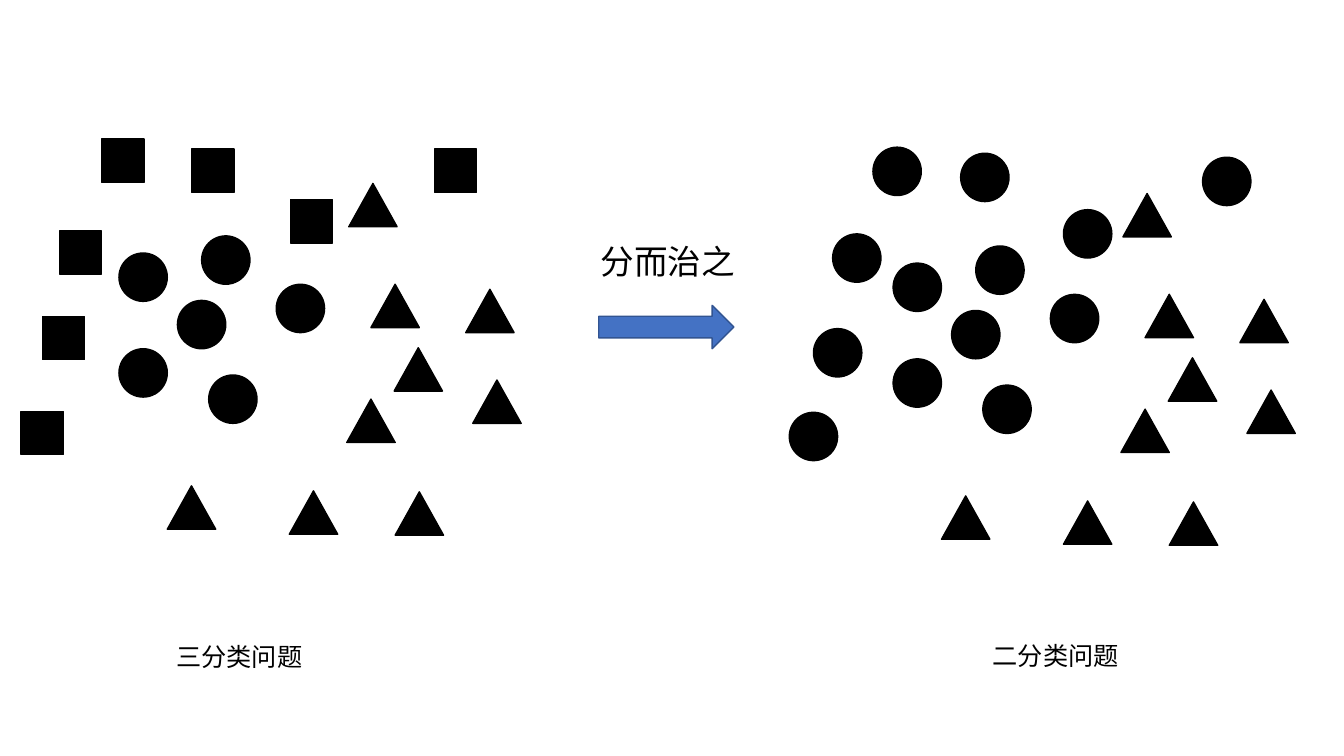
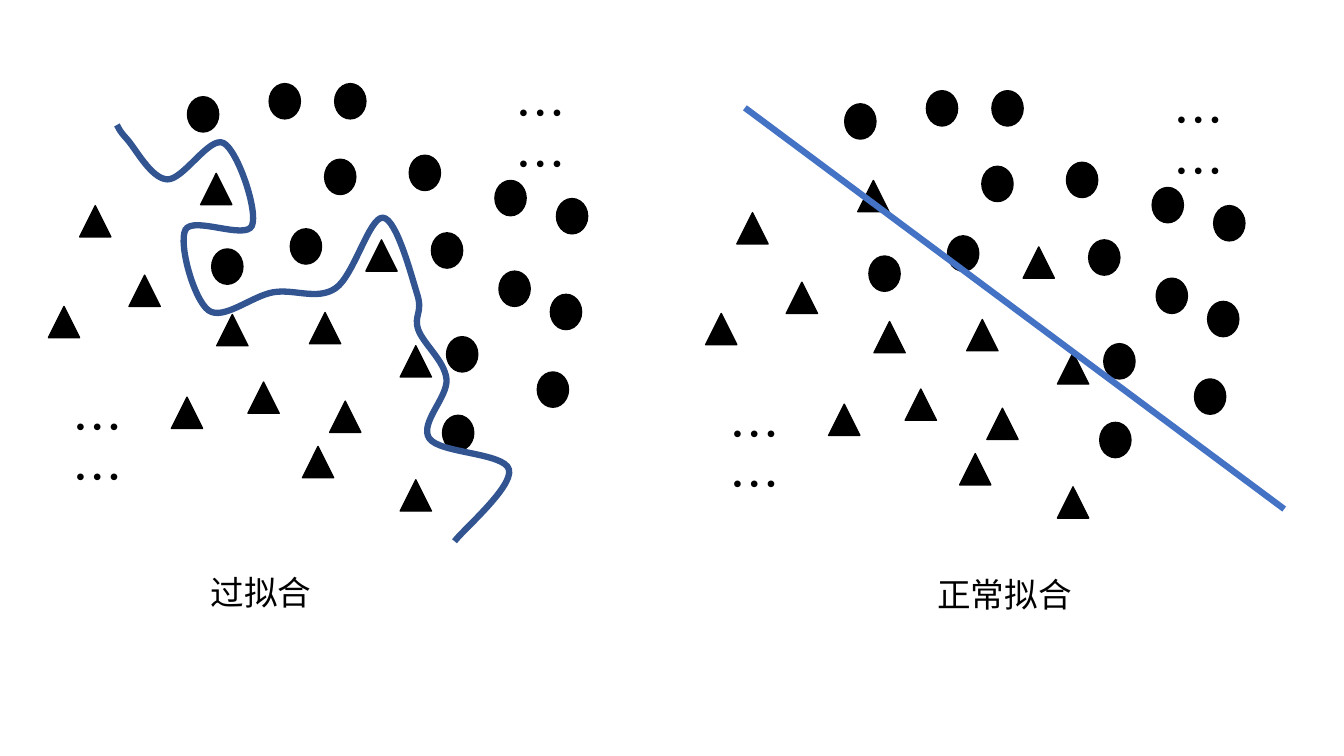
"""Two slides on classification: splitting a problem, and overfitting."""
from dataclasses import dataclass

from lxml import etree
from pptx import Presentation
from pptx.dml.color import RGBColor
from pptx.enum import shapes as kinds, text as texts
from pptx.oxml import ns
from pptx.util import Emu, Inches, Pt

WIDTH, HEIGHT = Inches(13.333), Inches(7.5)
ROWS = 75
CELL = HEIGHT / ROWS  # every position below counts square grid cells

INK, BLUE, NAVY = "000000", "4472C4", "325491"
FONT = "Noto Sans CJK SC"
CIRCLE = kinds.MSO_SHAPE.OVAL
TRIANGLE = kinds.MSO_SHAPE.ISOSCELES_TRIANGLE
SQUARE = kinds.MSO_SHAPE.RECTANGLE
ARROW = kinds.MSO_SHAPE.RIGHT_ARROW

Spot = tuple[float, float]


@dataclass(frozen=True)
class Marks:
    """Samples of one class: their outline, size and top left corners."""
    outline: int
    width: float
    height: float
    spots: tuple[Spot, ...]


@dataclass(frozen=True)
class Label:
    """A line of text in a box, with its size and line spacing."""
    words: str
    column: float
    row: float
    width: float
    height: float
    size: int
    spacing: float = 0.9


def cells(count: float) -> Emu:
    """Turn grid cells into a length."""
    return Emu(round(count * CELL))


def colour(code: str) -> RGBColor:
    """Turn a hex string into a colour."""
    return RGBColor.from_string(code)


def draw_outline(shape, code: str, points: float) -> None:
    """Give a shape or connector its line."""
    shape.line.color.rgb = colour(code)
    shape.line.width = Pt(points)


def draw_shape(canvas, outline: int, column: float, row: float, width: float,
               height: float, fill: str = INK, edge: str = INK) -> None:
    """Draw one filled preset shape."""
    shape = canvas.add_shape(outline, cells(column), cells(row),
                             cells(width), cells(height))
    shape.fill.solid()
    shape.fill.fore_color.rgb = colour(fill)
    draw_outline(shape, edge, 1)
    shape.shadow.inherit = False


def draw_samples(canvas, classes: tuple[Marks, ...], shift: Spot = (0, 0)) -> None:
    """Draw all samples of the given classes, moved by a shift."""
    for marks in classes:
        for column, row in marks.spots:
            draw_shape(canvas, marks.outline, column + shift[0], row + shift[1],
                       marks.width, marks.height)


def draw_label(canvas, label: Label, shift: Spot = (0, 0)) -> None:
    """Write a label, moved by a shift."""
    box = canvas.add_textbox(cells(label.column + shift[0]), cells(label.row + shift[1]),
                             cells(label.width), cells(label.height))
    frame = box.text_frame
    frame.word_wrap = True
    frame.auto_size = texts.MSO_AUTO_SIZE.SHAPE_TO_FIT_TEXT
    paragraph = frame.paragraphs[0]
    paragraph.line_spacing = label.spacing
    run = paragraph.add_run()
    run.text = label.words
    run.font.size = Pt(label.size)
    run.font.color.rgb = colour(INK)
    run.font.name = FONT
    east_asian = etree.SubElement(run.font._element, ns.qn("a:ea"))
    east_asian.set("typeface", FONT)


def smooth_points(anchors: tuple[Spot, ...]) -> list[Spot]:
    """List control points and ends of a smooth curve through the anchors."""
    padded = (anchors[0], *anchors, anchors[-1])
    points = []
    for before, start, end, after in zip(padded, padded[1:], padded[2:], padded[3:]):
        points.append(tuple(s + (e - b) / 6 for b, s, e in zip(before, start, end)))
        points.append(tuple(e - (a - s) / 6 for s, e, a in zip(start, end, after)))
        points.append(end)
    return points


def draw_curve(canvas, anchors: tuple[Spot, ...]) -> None:
    """Draw a smooth open curve through the anchors."""
    start = [cells(value) for value in anchors[0]]
    builder = canvas.build_freeform(*start)
    builder.add_line_segments(
        [(cells(x), cells(y)) for x, y in smooth_points(anchors)], close=False)
    curve = builder.convert_to_shape()
    curve.fill.background()
    draw_outline(curve, NAVY, 4.5)
    curve.shadow.inherit = False
    steps = list(curve._element.iter(ns.qn("a:lnTo")))
    for first in range(0, len(steps), 3):
        bezier = etree.SubElement(steps[first].getparent(), ns.qn("a:cubicBezTo"))
        for step in steps[first:first + 3]:
            bezier.append(step[0])
            step.getparent().remove(step)


def draw_line(canvas, start: Spot, end: Spot) -> None:
    """Draw a straight boundary."""
    line = canvas.add_connector(kinds.MSO_CONNECTOR.STRAIGHT,
                                *(cells(value) for value in (*start, *end)))
    draw_outline(line, BLUE, 4.5)
    etree.SubElement(line._element.spPr, ns.qn("a:effectLst"))


# Splitting a three-class problem
ROUND_CLASS = Marks(CIRCLE, 4.8, 4.8, (
    (11.8, 25.1), (20, 23.4), (17.6, 29.8), (11.8, 34.6), (20.7, 37.2), (27.4, 28.2)))
TRIANGLE_CLASS = Marks(TRIANGLE, 4.8, 4.3, (
    (36.8, 28.2), (46.2, 28.7), (34.4, 39.6), (46.9, 37.7), (39.1, 34.5),
    (39.2, 48.8), (28.7, 48.7), (16.6, 48.2), (34.6, 18.2)))
SQUARE_CLASS = Marks(SQUARE, 4.2, 4.3, (
    (43.1, 14.8), (10.1, 13.8), (19, 14.8), (28.8, 19.8), (5.9, 22.9),
    (4.2, 31.4), (2.1, 40.8)))
MERGED_CLASS = Marks(CIRCLE, 4.8, 4.8, (
    (80.7, 32.6), (78.3, 40.9), (82.6, 23.2), (86.6, 14.6), (95.3, 15.2),
    (105.5, 20.8), (119.3, 15.6)))
MERGED_SHIFT = (76.8, 1)
SPLIT_LABELS = (
    Label("分而治之", 58.6, 23.9, 18.2, 5, 24),
    Label("三分类问题", 16.5, 63.5, 26.7, 4, 18),
    Label("二分类问题", 97.5, 63.4, 26.7, 4, 18))

# Overfitting beside a normal fit
FIT_CLASSES = (
    Marks(CIRCLE, 3.1, 3.5, (
        (49.5, 26.9), (32.2, 15.8), (40.6, 15.4), (28.8, 22.7), (33.2, 8.3),
        (26.7, 8.3), (18.6, 9.6), (21, 24.7), (42.8, 23.1), (44.3, 33.4),
        (43.9, 41.2), (53.3, 36.9), (54.6, 29.2), (55.2, 19.7), (49.1, 17.9))),
    Marks(TRIANGLE, 3.1, 3.1, (
        (4.8, 30.4), (7.9, 20.4), (12.8, 27.3), (19.9, 17.2), (21.5, 31.2),
        (17, 39.4), (30.7, 31), (39.7, 34.3), (36.3, 23.8), (24.6, 37.9),
        (30, 44.3), (32.7, 39.8), (39.7, 47.6))))
FIT_SHIFTS = ((0, 0), (65.2, 0.7))
MORE_SAMPLES = tuple(Label("……", column, row, 11.8, 5.1, 36, 0.83)
                     for column, row in ((6.2, 39.8), (50.2, 8.7)))
OVERFIT_BOUNDARY = (
    (11.6, 12.4), (12.6, 13.8), (16.6, 17.8), (22.2, 14.2), (25, 22.4),
    (18.4, 22.8), (20.7, 30.8), (27.1, 29), (33.3, 28.6), (38, 21.6),
    (41.4, 29.2), (41.5, 32.7), (44.3, 37.6), (42.6, 43.5), (50.5, 46.6),
    (45.1, 53.7))
FIT_LABELS = (
    Label("过拟合", 19.9, 56.7, 26.9, 5, 24),
    Label("正常拟合", 92, 56.9, 26.9, 5, 24))


def build_split(slide) -> None:
    """Show three classes on the left, reduced to two on the right."""
    draw_samples(slide.shapes.add_group_shape().shapes,
                 (ROUND_CLASS, TRIANGLE_CLASS, SQUARE_CLASS))
    draw_samples(slide.shapes, (ROUND_CLASS, TRIANGLE_CLASS), MERGED_SHIFT)
    draw_samples(slide.shapes, (MERGED_CLASS,))
    draw_shape(slide.shapes, ARROW, 59.4, 30.3, 13.4, 4.3, BLUE, NAVY)
    for label in SPLIT_LABELS:
        draw_label(slide.shapes, label)


def build_fit(slide) -> None:
    """Show the same samples with a winding and a straight boundary."""
    for shift in FIT_SHIFTS:
        panel = slide.shapes.add_group_shape().shapes
        draw_samples(panel, FIT_CLASSES, shift)
        for label in MORE_SAMPLES:
            draw_label(panel, label, shift)
    draw_curve(slide.shapes, OVERFIT_BOUNDARY)
    draw_line(slide.shapes, (73.9, 10.7), (127.4, 50.5))
    for label in FIT_LABELS:
        draw_label(slide.shapes, label)


def main() -> None:
    """Build and save the presentation."""
    deck = Presentation()
    deck.slide_width, deck.slide_height = WIDTH, HEIGHT
    blank = deck.slide_layouts[6]
    for build in (build_split, build_fit):
        build(deck.slides.add_slide(blank))
    deck.save("out.pptx")


main()
